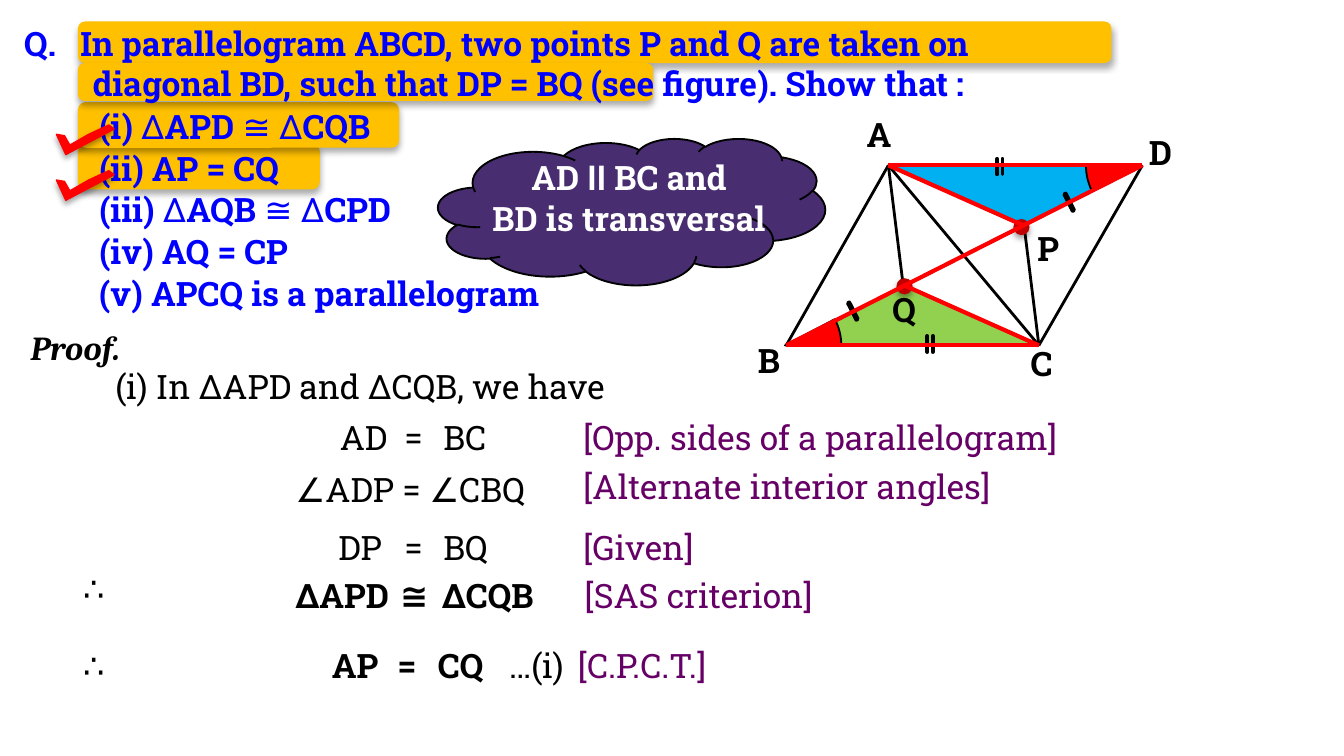
from lxml.etree import SubElement
from pptx import Presentation
from pptx.dml.color import RGBColor
from pptx.enum.shapes import MSO_CONNECTOR, MSO_SHAPE
from pptx.enum.text import MSO_AUTO_SIZE, PP_ALIGN
from pptx.oxml.ns import qn
from pptx.util import Inches, Pt

BLACK = RGBColor(0, 0, 0)
WHITE = RGBColor(0xFF, 0xFF, 0xFF)
RED = RGBColor(0xFF, 0, 0)
DARK_RED = RGBColor(0xC0, 0, 0)
BLUE = RGBColor(0, 0, 0xFF)
SKY = RGBColor(0, 0xB0, 0xF0)
GREEN = RGBColor(0x92, 0xD0, 0x50)
AMBER = RGBColor(0xFF, 0xC0, 0)
VIOLET = RGBColor(0x48, 0x2D, 0x70)
PURPLE = RGBColor(0x66, 0, 0x66)

# Vertices of the parallelogram and the two points on its diagonal
A, B, C, D = (6.61, 1.23), (5.85, 2.57), (7.73, 2.57), (8.5, 1.23)
P, Q = (7.62, 1.68), (6.72, 2.12)

BOLD, PLAIN = {"bold": True}, {"bold": False}
QUESTION = {"bold": True, "color": BLUE}
REASON = {"color": PURPLE}
HIGHLIGHT_SHADOW = (32, 3.5, 2.2)
MARK_SHADOW = (35, 3.1, 1.8)


class Board:
    """Holds the slide and its default text style."""

    def __init__(self, slide):
        self.shapes = slide.shapes
        self.style = {"name": "Roboto Slab", "size": Pt(18), "color": BLACK}

    def text(self, x, y, w, lines, fmt=None, h=0.4, wrap=False, align=None, tab=None):
        """Lines are strings, or lists of (text, format) runs."""
        tf = self.shapes.add_textbox(Inches(x), Inches(y), Inches(w), Inches(h)).text_frame
        tf.word_wrap = wrap
        tf.auto_size = MSO_AUTO_SIZE.SHAPE_TO_FIT_TEXT
        for i, line in enumerate([lines] if isinstance(lines, str) else lines):
            p = tf.add_paragraph() if i else tf.paragraphs[0]
            if tab:
                tabs = SubElement(p._p.get_or_add_pPr(), qn("a:tabLst"))
                SubElement(tabs, qn("a:tab"), pos=str(Inches(tab)), algn="l")
            p.alignment = align
            for part, own in [(line, {})] if isinstance(line, str) else line:
                r = p.add_run()
                r.text = part
                for key, value in {**self.style, **(fmt or {}), **own}.items():
                    if key == "color":
                        r.font.color.rgb = value
                    else:
                        setattr(r.font, key, value)

    def paint(self, sp, fill, line=None, width=1, shadow=None):
        """Shadow is (opacity percent, blur points, distance points)."""
        sp.shadow.inherit = False
        sp.fill.solid()
        sp.fill.fore_color.rgb = fill
        if line is None:
            sp.line.fill.background()
        else:
            sp.line.color.rgb = line
            sp.line.width = Pt(width)
        if shadow:
            alpha, blur, dist = shadow
            effects = sp._element.spPr.find(qn("a:effectLst"))
            outer = SubElement(effects, qn("a:outerShdw"), blurRad=str(Pt(blur)),
                               dist=str(Pt(dist)), dir="5400000", rotWithShape="0")
            color = SubElement(outer, qn("a:srgbClr"), val="000000")
            SubElement(color, qn("a:alpha"), val=str(alpha * 1000))

    def shape(self, kind, x, y, w, h, fill, rotation=0, adjust=(), **look):
        sp = self.shapes.add_shape(kind, Inches(x), Inches(y), Inches(w), Inches(h))
        sp.rotation = rotation
        for i, value in enumerate(adjust):
            sp.adjustments[i] = value
        self.paint(sp, fill, **look)

    def polygon(self, points, fill, **look):
        first, *rest = [(Inches(x), Inches(y)) for x, y in points]
        builder = self.shapes.build_freeform(*first)
        builder.add_line_segments(rest, close=True)
        self.paint(builder.convert_to_shape(), fill, **look)

    def line(self, start, end, color, width):
        ends = [Inches(v) for v in (*start, *end)]
        cn = self.shapes.add_connector(MSO_CONNECTOR.STRAIGHT, *ends)
        cn.line.color.rgb = color
        cn.line.width = Pt(width)
        SubElement(cn._element.spPr, qn("a:effectLst"))

    def tick(self, x, y, w, h, rotation):
        self.shape(MSO_SHAPE.MATH_MINUS, x, y, w, h, BLACK, rotation, line=BLACK, width=2)


def draw_highlights(board):
    def bar(y, w, h):
        board.shape(MSO_SHAPE.ROUNDED_RECTANGLE, 0.58, y, w, h, AMBER, shadow=HIGHLIGHT_SHADOW)

    bar(1.07, 1.8, 0.34)
    bar(0.76, 2.39, 0.34)
    board.polygon([P, A, D], SKY)
    board.polygon([Q, C, B], GREEN)
    bar(0.16, 7.69, 0.31)
    bar(0.47, 4.28, 0.28)
    board.shape(MSO_SHAPE.PIE, 8.08, 0.82, 0.83, 0.83, RED, 105, (28.68, 45.23), line=BLACK)
    board.shape(MSO_SHAPE.PIE, 5.42, 2.15, 0.84, 0.84, RED, 270, (37.35, 53.37), line=BLACK)


def draw_question(board):
    def congruence(number, left, right):
        return [[(number, {}), ("Δ", PLAIN), (left, {}), ("≅ Δ", PLAIN), (right, {})]]

    board.text(0.08, 0.12, 8.2, "Q.\tIn parallelogram ABCD, two points P and Q are taken on",
               QUESTION, wrap=True, tab=0.42)
    board.text(0.59, 0.42, 7.52, "diagonal BD, such that DP = BQ (see figure). Show that :",
               QUESTION, wrap=True)
    items = [
        (2.35, congruence("(i) ", "APD ", "CQB")),
        (1.69, "(ii) AP = CQ"),
        (2.45, congruence("(iii) ", "AQB ", "CPD")),
        (1.75, "(iv) AQ = CP"),
        (3.76, "(v) APCQ is a parallelogram"),
    ]
    for i, (w, item) in enumerate(items):
        board.text(0.64, 0.74 + 0.31 * i, w, item, QUESTION)


def draw_proof(board):
    board.text(0.13, 2.38, 0.9, "Proof.", {"name": "Cambria", "bold": True, "italic": True})
    board.text(0.76, 2.67, 4.15, "(i) In ΔAPD and ΔCQB, we have")
    rows = [
        (3.05, {}, [(2.43, 0.58, "AD"), (2.91, 0.35, "="), (3.2, 0.58, "BC")]),
        (3.44, {}, [(2.1, 2.03, "∠ADP = ∠CBQ")]),
        (3.87, {}, [(2.42, 0.56, "DP"), (2.91, 0.35, "="), (3.2, 0.59, "BQ")]),
        (4.23, BOLD, [(2.1, 0.9, "ΔAPD"), (2.88, 0.34, "≅"), (3.19, 0.93, "ΔCQB")]),
        (4.75, BOLD, [(2.37, 0.55, "AP"), (2.86, 0.35, "="), (3.16, 0.59, "CQ")]),
        (4.75, {}, [(3.69, 0.68, "…(i)")]),
        (3.05, REASON, [(4.24, 3.96, "[Opp. sides of a parallelogram]")]),
        (3.42, REASON, [(4.24, 3.34, "[Alternate interior angles]")]),
        (3.87, REASON, [(4.24, 1.06, "[Given]")]),
        (4.23, REASON, [(4.25, 1.98, "[SAS criterion]")]),
        (4.75, REASON, [(4.2, 1.36, "[C.P.C.T.]")]),
    ]
    for y, fmt, cells in rows:
        for x, w, label in cells:
            board.text(x, y, w, label, fmt)
    for y in (4.18, 4.75):
        board.text(0.52, y, 0.42, "∴", {"name": "Calibri"})


def draw_figure(board):
    for x, y in [(6.25, 2.29), (7.86, 1.48)]:
        board.tick(x, y, 0.19, 0.05, 63.3)
    for start, end in [(D, C), (B, A), (D, A), (C, A), (A, Q), (Q, C), (C, P), (A, P),
                       (C, B), (B, D)]:
        board.line(start, end, BLACK, 1.5)
    for name, x, y in [("B", 5.54, 2.48), ("A", 6.35, 0.8), ("C", 7.57, 2.5),
                       ("D", 8.45, 0.93), ("Q", 6.54, 2.1), ("P", 7.62, 1.65)]:
        board.text(x, y, 0.39, name, BOLD)
    for x, y in [(6.67, 2.07), (7.54, 1.63)]:
        board.shape(MSO_SHAPE.OVAL, x, y, 0.12, 0.12, DARK_RED, shadow=MARK_SHADOW)
    for x, y in [(7.34, 1.24), (6.82, 2.56)]:
        for gap in (0, 0.04):
            board.tick(x + gap, y, 0.16, 0, 90)


def draw_check_marks(board):
    check = [(0.85, 0.96), (0.81, 0.93), (0.66, 1), (0.52, 1.08), (0.48, 1.01),
             (0.42, 1), (0.49, 1.15)]
    for drop in (0, 0.34):
        board.polygon([(x, y + drop) for x, y in check], RED, line=RED, width=0.75,
                      shadow=MARK_SHADOW)


def draw_hint(board):
    board.shape(MSO_SHAPE.CLOUD, 3.26, 1.03, 2.88, 1.09, VIOLET, line=BLACK)
    board.text(3.46, 1.12, 2.44,
               [[("AD ", {}), ("ll", {"name": "Arial"}), (" BC and", {})], "BD is transversal"],
               {"bold": True, "color": WHITE}, h=0.71, align=PP_ALIGN.CENTER)


def main():
    prs = Presentation()
    prs.slide_width = Inches(10)
    prs.slide_height = prs.slide_width * 9 // 16
    board = Board(prs.slides.add_slide(prs.slide_layouts[6]))
    draw_highlights(board)
    draw_question(board)
    draw_proof(board)
    draw_figure(board)
    draw_check_marks(board)
    for start, end in [(D, A), (C, B), (B, D), (A, P), (Q, C)]:
        board.line(start, end, RED, 2.25)
    draw_hint(board)
    prs.save("out.pptx")


if __name__ == "__main__":
    main()
